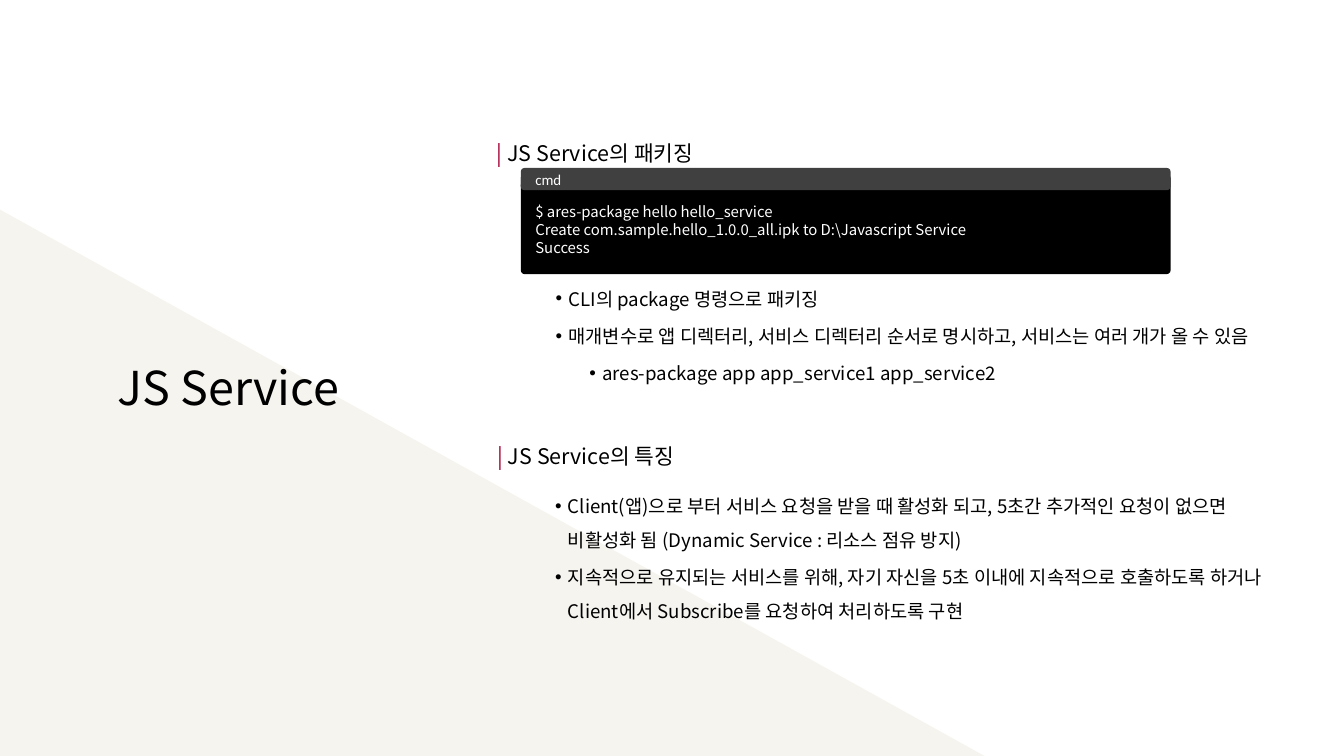
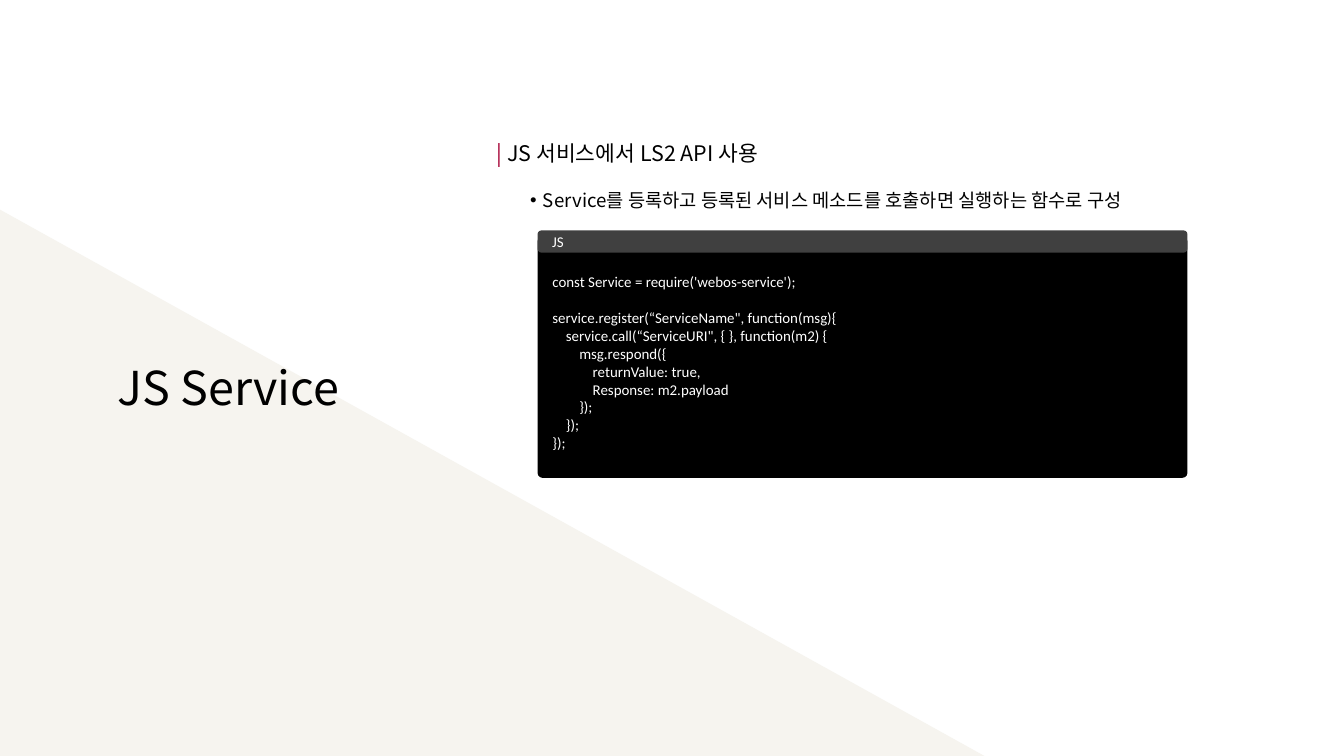
from dataclasses import dataclass

from lxml import etree
from pptx import Presentation
from pptx.dml.color import RGBColor
from pptx.enum.shapes import MSO_SHAPE
from pptx.enum.text import MSO_ANCHOR, MSO_AUTO_SIZE, PP_ALIGN
from pptx.oxml.ns import qn
from pptx.util import Pt

TRIANGLE, ROUND = MSO_SHAPE.RIGHT_TRIANGLE, MSO_SHAPE.ROUNDED_RECTANGLE
WEDGE = MSO_SHAPE.ISOSCELES_TRIANGLE
TOP, MIDDLE = MSO_ANCHOR.TOP, MSO_ANCHOR.MIDDLE
LEFT, CENTER = PP_ALIGN.LEFT, PP_ALIGN.CENTER
FIXED = MSO_AUTO_SIZE.NONE
PX = 9144  # 100 px to the inch
WIDE, HIGH = 2000, 1125
PAIRS = 4  # layout with a title and two pairs of heading and list


@dataclass(frozen=True)
class Theme:
    ink: str = "000000"
    paper: str = "FFFFFF"
    sand: str = "F6F4EF"
    red: str = "A50034"
    gray: str = "404040"
    sans: str = "Noto Sans CJK KR"
    plain: str = "Calibri"
    title: int = 50
    head: int = 23
    list: int = 20
    code: int = 16


def apply(item, **values):
    for name, value in values.items():
        setattr(item, name, value)


def place(shape, *box):
    for name, value in zip(("left", "top", "width", "height"), box):
        setattr(shape, name, value * PX)


class Deck:
    """Holds the theme and the slide being filled."""

    def __init__(self, theme):
        self.theme = theme
        self.file = Presentation()
        apply(self.file, slide_width=WIDE * PX, slide_height=HIGH * PX)

    def page(self, title):
        self.slide = self.file.slides.add_slide(self.file.slide_layouts[PAIRS])
        bodies = list(self.slide.placeholders)[1:]
        self.heads, self.lists = bodies[::2], bodies[1::2]
        wedge = self.shape(self.slide.shapes, WEDGE, (0, 312, 1465, 813),
                           self.theme.sand, 0)
        self.slide.shapes._spTree.insert(2, wedge._element)
        holder = self.slide.shapes.title
        place(holder, 115, 529, 450, 94)
        frame = self.frame(holder, MIDDLE)
        self.line(frame, [(title, self.theme.ink)], self.theme.title,
                  alignment=CENTER, line_spacing=1.0)

    def shape(self, parent, kind, box, fill, bend=None):
        shape = parent.add_shape(kind, *(n * PX for n in box))
        shape.shadow.inherit = False
        shape.fill.solid()
        shape.fill.fore_color.rgb = RGBColor.from_string(fill)
        shape.line.fill.background()
        if bend is not None:
            shape.adjustments[0] = bend
        return shape

    def frame(self, shape, anchor=TOP, pad=(10, 5, 10, 5)):
        frame = shape.text_frame
        apply(frame, word_wrap=True, auto_size=FIXED, vertical_anchor=anchor)
        sides = ("left", "top", "right", "bottom")
        apply(frame, **{f"margin_{s}": n * PX for s, n in zip(sides, pad)})
        return frame

    def line(self, frame, runs, size, font=None, **form):
        """Adds a paragraph of (text, color) runs; form sets its format."""
        para = frame.paragraphs[0]
        if para.runs:
            para = frame.add_paragraph()
        base = dict(alignment=LEFT, line_spacing=Pt(size * 1.2),
                    space_before=Pt(0), space_after=Pt(0))
        apply(para, **{**base, **form})
        font = font or self.theme.sans
        for text, color in runs:
            run = para.add_run()
            run.text = text
            apply(run.font, name=font, size=Pt(size), bold=False)
            run.font.color.rgb = RGBColor.from_string(color)
            east = etree.SubElement(run.font._element, qn("a:ea"))
            east.set("typeface", font)
        return para

    def indent(self, para, left, first=0):
        props = para._p.get_or_add_pPr()
        props.set("marL", str(left * PX))
        props.set("indent", str(first * PX))
        return props

    def head(self, text, left, top):
        holder = self.heads.pop(0)
        place(holder, left, top, 439, 49)
        runs = [("| ", self.theme.red), (text, self.theme.ink)]
        self.line(self.frame(holder), runs, self.theme.head)

    def bullets(self, box, *items):
        """Fills a list from (level, text) items."""
        holder = self.lists.pop(0)
        place(holder, *box)
        frame, size = self.frame(holder), self.theme.list
        for level, text in items:
            para = self.line(frame, [(text, self.theme.ink)], size,
                             level=level, line_spacing=Pt(size * 1.8),
                             space_before=Pt(2), space_after=Pt(2))
            props = self.indent(para, 19 + 50 * level, -19)
            etree.SubElement(props, qn("a:buFont")).set("typeface", "Arial")
            etree.SubElement(props, qn("a:buChar")).set("char", "•")

    def code(self, left, top, high, bend, name, font, *rows):
        """Draws a named code panel from (depth, text, gap) rows."""
        look = self.theme
        group = self.slide.shapes.add_group_shape().shapes
        panel = self.shape(group, ROUND, (left, top + 9, 967, high),
                           look.ink, bend)
        frame = self.frame(panel, MIDDLE, (20, 39, 10, 24))
        for depth, text, gap in rows:
            para = self.line(frame, [(text, look.paper)], look.code, font,
                             space_before=Pt(look.code * 1.2 * gap))
            self.indent(para, 20 * depth)
        bar = self.shape(group, ROUND, (left, top, 967, 33), look.gray)
        self.line(self.frame(bar, MIDDLE, (20, 5, 10, 5)),
                  [(name, look.paper)], look.code, look.plain)

    def close(self):
        for holder in self.heads + self.lists:
            holder._element.getparent().remove(holder._element)


def packing(deck):
    deck.page("JS Service")
    deck.head("JS Service의 패키징", 729, 204)
    deck.head("JS Service의 특징", 730, 654)
    deck.bullets(
        (767, 406, 1167, 173),
        (1, "CLI의 package 명령으로 패키징"),
        (1, "매개변수로 앱 디렉터리, 서비스 디렉터리 순서로 명시하고, "
            "서비스는 여러 개가 올 수 있음"),
        (2, "ares-package app app_service1 app_service2"))
    deck.bullets(
        (766, 715, 1151, 218),
        (1, "Client(앱)으로 부터 서비스 요청을 받을 때 활성화 되고, "
            "5초간 추가적인 요청이 없으면 비활성화 됨 "
            "(Dynamic Service : 리소스 점유 방지)"),
        (1, "지속적으로 유지되는 서비스를 위해, 자기 자신을 5초 이내에 "
            "지속적으로 호출하도록 하거나 Client에서 Subscribe를 요청하여 "
            "처리하도록 구현"))
    deck.code(
        775, 250, 149, 0.04, "cmd", deck.theme.sans,
        (0, "$ ares-package hello hello_service", 0),
        (0, "Create com.sample.hello_1.0.0_all.ipk to "
            "D:\\Javascript Service", 0),
        (0, "Success", 0))
    deck.close()


def calling(deck):
    deck.page("JS Service")
    deck.head("JS 서비스에서 LS2 API 사용", 729, 204)
    deck.bullets(
        (729, 259, 1000, 55),
        (1, "Service를 등록하고 등록된 서비스 메소드를 호출하면 "
            "실행하는 함수로 구성"))
    deck.code(
        800, 343, 359, 0.02, "JS", deck.theme.plain,
        (0, "const Service = require('webos-service');", 0),
        (0, "service.register(“ServiceName\", function(msg){", 1),
        (1, "service.call(“ServiceURI\", { }, function(m2) {", 0),
        (2, "msg.respond({", 0),
        (3, "returnValue: true,", 0),
        (3, "Response: m2.payload", 0),
        (2, "});", 0),
        (1, "});", 0),
        (0, "});", 0))
    deck.close()


def main():
    deck = Deck(Theme())
    packing(deck)
    calling(deck)
    deck.file.save("out.pptx")


if __name__ == "__main__":
    main()
